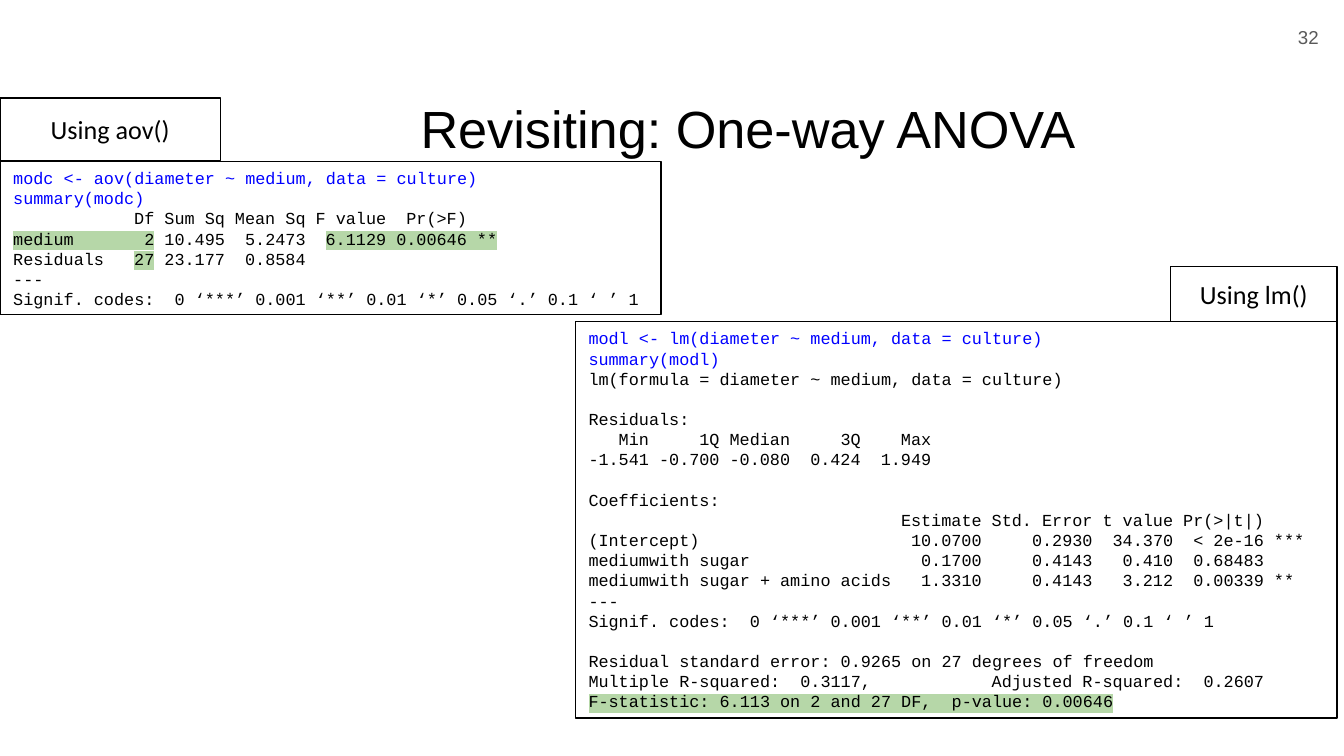
import pptx
import pptx.dml.color
import pptx.enum.shapes
import pptx.enum.text
import pptx.oxml
import pptx.util
from pptx.oxml.ns import qn

Pt = pptx.util.Pt
ALIGN = pptx.enum.text.PP_ALIGN
ANCHOR = pptx.enum.text.MSO_ANCHOR

BLACK, WHITE, GREY = "000000", "FFFFFF", "595959"
COMMAND, MARKED = "0000FF", "B6D7A8"
CHARACTER = 5.4  # width of one 9 pt Courier New character
LINE = 10.8      # line height of the console output


def color(value):
    return pptx.dml.color.RGBColor.from_string(value)


class SlideBuilder:
    def __init__(self, slide):
        self.slide = slide

    def frame(self, shape, anchor, inset):
        frame = shape.text_frame
        frame.word_wrap = True
        frame.vertical_anchor = anchor
        frame.margin_left = frame.margin_right = Pt(7.2)
        frame.margin_top = frame.margin_bottom = Pt(inset)
        return frame

    def run(self, paragraph, text, font, size, ink, highlight=None):
        run = paragraph.add_run()
        run.text = text
        run.font.name, run.font.size = font, Pt(size)
        run.font.color.rgb = color(ink)
        if highlight:
            mark = pptx.oxml.parse_xml(
                '<a:highlight xmlns:a="http://schemas.openxmlformats.org/drawingml/2006/main">'
                f'<a:srgbClr val="{highlight}"/></a:highlight>')
            run.font.fill._xPr.find(qn("a:solidFill")).addnext(mark)

    def text(self, box, text, size, ink, align, anchor, spacing=1.0):
        shape = self.slide.shapes.add_textbox(*map(Pt, box))
        paragraph = self.frame(shape, anchor, 7.2).paragraphs[0]
        paragraph.alignment = align
        paragraph.line_spacing = spacing
        self.run(paragraph, text, "Arial", size, ink)

    def rectangle(self, box, fill=None):
        shape = self.slide.shapes.add_shape(
            pptx.enum.shapes.MSO_SHAPE.RECTANGLE, *map(Pt, box))
        shape.shadow.inherit = False
        if fill:
            shape.fill.solid()
            shape.fill.fore_color.rgb = color(fill)
        else:
            shape.fill.background()
        shape.line.color.rgb = color(BLACK)
        shape.line.width = Pt(0.75)
        return shape

    def label(self, box, text):
        paragraph = self.frame(self.rectangle(box), ANCHOR.MIDDLE, 3.6).paragraphs[0]
        paragraph.alignment = ALIGN.CENTER
        self.run(paragraph, text, "Calibri", 14, BLACK)

    def tab_stops(self, paragraph, right, left):
        """Set tab stops at character columns."""
        stops = [(column, "r") for column in right] + [(column, "l") for column in left]
        properties = paragraph._p.get_or_add_pPr()
        tabs = properties.makeelement(qn("a:tabLst"), {})
        for column, kind in stops:
            position = str(int(Pt(column * CHARACTER)))
            tabs.append(tabs.makeelement(qn("a:tab"), {"pos": position, "algn": kind}))
        properties.append(tabs)

    def console(self, box, lines):
        frame = self.frame(self.rectangle(box, WHITE), ANCHOR.TOP, 3.6)
        for index, line in enumerate(lines):
            paragraph = frame.add_paragraph() if index else frame.paragraphs[0]
            paragraph.alignment = ALIGN.LEFT
            paragraph.line_spacing = Pt(LINE)
            paragraph.space_before = Pt(line["gap"])
            if line["right"] or line["left"]:
                self.tab_stops(paragraph, line["right"], line["left"])
            for text, highlight in line["runs"]:
                self.run(paragraph, text, "Courier New", 9, line["ink"], highlight)


def line(*runs, right=(), left=(), gap=0, ink=BLACK):
    """One console line; each run is a string or a (string, highlight) pair."""
    runs = [(run, None) if isinstance(run, str) else run for run in runs]
    return {"runs": runs, "right": right, "left": left, "gap": gap, "ink": ink}


def main():
    presentation = pptx.Presentation()
    presentation.slide_width, presentation.slide_height = Pt(720), Pt(405)
    builder = SlideBuilder(presentation.slides.add_slide(presentation.slide_layouts[6]))

    # Title and slide number
    builder.text((218.2, 41, 477.4, 45.4), "Revisiting: One-way ANOVA",
                 28, BLACK, ALIGN.LEFT, ANCHOR.TOP, 1.1)
    builder.text((670.3, 4.3, 43.2, 31), "32", 10, GREY, ALIGN.RIGHT, ANCHOR.MIDDLE)

    significance = [
        line("---"),
        line("Signif. codes:  0 ‘***’ 0.001 ‘**’ 0.01 ‘*’ 0.05 ‘.’ 0.1 ‘ ’ 1"),
    ]

    # Output of aov()
    builder.console((0, 86.4, 354.2, 82.1), [
        line("modc <- aov(diameter ~ medium, data = culture)", ink=COMMAND),
        line("summary(modc)", ink=COMMAND),
        line("\tDf\tSum Sq\tMean Sq\tF value\tPr(>F)", right=(14, 21, 29, 37, 45)),
        # The highlight covers the gap, so this run keeps its console spacing
        line(("medium       2", MARKED), "\t10.495\t5.2473\t",
             ("6.1129 0.00646 **", MARKED), right=(21, 29, 48)),
        line("Residuals\t", ("27", MARKED), "\t23.177\t0.8584", right=(14, 21, 29)),
        *significance,
    ])

    # Labels
    builder.label((627.1, 142.6, 89.3, 30.2), "Using lm()")
    builder.label((0, 52.6, 118.1, 33.4), "Using aov()")

    # Output of lm()
    quantiles = (13, 20, 27, 34)
    coefficients = {"right": (39, 50, 58, 67), "left": (68,)}
    builder.console((308.2, 172.3, 408.2, 212.4), [
        line("modl <- lm(diameter ~ medium, data = culture)", ink=COMMAND),
        line("summary(modl)", ink=COMMAND),
        line("lm(formula = diameter ~ medium, data = culture)"),
        line("Residuals:", gap=LINE),
        line("\tMin\t1Q\tMedian\t3Q\tMax", right=(6, *quantiles)),
        line("-1.541\t-0.700\t-0.080\t0.424\t1.949", right=quantiles),
        line("Coefficients:", gap=LINE),
        line("\tEstimate\tStd. Error\tt value\tPr(>|t|)", **coefficients),
        line("(Intercept)\t10.0700\t0.2930\t34.370\t< 2e-16\t***", **coefficients),
        line("mediumwith sugar\t0.1700\t0.4143\t0.410\t0.68483", **coefficients),
        line("mediumwith sugar + amino acids\t1.3310\t0.4143\t3.212\t0.00339\t**",
             **coefficients),
        *significance,
        line("Residual standard error: 0.9265 on 27 degrees of freedom", gap=LINE),
        line("Multiple R-squared:  0.3117,\tAdjusted R-squared:  0.2607", left=(40,)),
        line(("F-statistic: 6.113 on 2 and 27 DF,  p-value: 0.00646", MARKED)),
    ])

    presentation.save("out.pptx")


if __name__ == "__main__":
    main()
